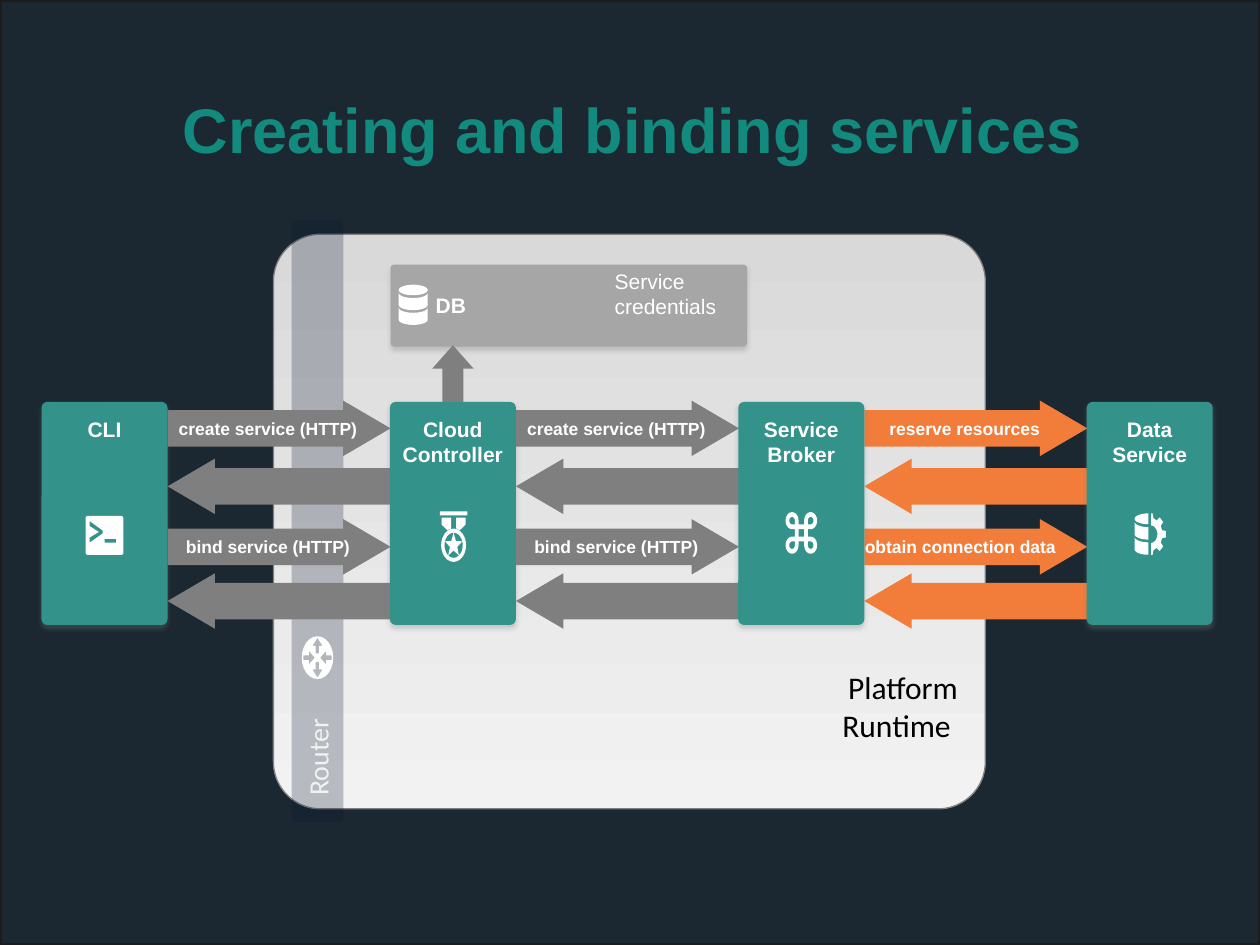
"""Draws the flow of creating and binding services through a platform runtime."""
from dataclasses import dataclass
from math import cos, radians, sin

from lxml import etree
from pptx import Presentation
from pptx import util as u
from pptx.dml.color import RGBColor
from pptx.enum import shapes, text
from pptx.oxml import ns

Point = tuple[float, float]
Contour = list[Point]
Area = tuple[float, float, float, float]

RECTANGLE = shapes.MSO_SHAPE.RECTANGLE
ROUNDED = shapes.MSO_SHAPE.ROUNDED_RECTANGLE
ARROW = shapes.MSO_SHAPE.RIGHT_ARROW
LEFT, CENTER, RIGHT = text.PP_ALIGN.LEFT, text.PP_ALIGN.CENTER, text.PP_ALIGN.RIGHT
TOP, MIDDLE = text.MSO_ANCHOR.TOP, text.MSO_ANCHOR.MIDDLE
WHITE, GRAY, ORANGE, TEAL = "FFFFFF", "7F7F7F", "F27C3A", "33928A"
GRID_LEFT, COLUMN_PITCH, BOX_WIDTH, ARROW_WIDTH = 0.33, 2.765, 1, 1.77
BOX_TOP, BOX_HEIGHT, ARROW_HEIGHT = 3.19, 1.77, 0.44
ROW_TOPS = (3.18, 3.64, 4.12, 4.55)


@dataclass
class Style:
    """Look of a line of text."""
    size: float
    font: str = "Arial"
    color: str = WHITE
    bold: bool = False


@dataclass
class Component:
    """Labelled box in one grid column."""
    column: int
    label: str


@dataclass
class Message:
    """Arrow in the gap after a grid column."""
    column: int
    row: int
    color: str = GRAY
    label: str = ""
    inset: float = 0.07


@dataclass
class Icon:
    """Contours in a unit square, scaled to half sizes around a centre."""
    center: Point
    half: Point
    contours: list[Contour]


def rgb(value: str) -> RGBColor:
    """Turn a hex string into a colour."""
    return RGBColor.from_string(value)


def write(shape, content: str, style: Style, align=LEFT, anchor=MIDDLE, insets=None, wrap=True) -> None:
    """Write each line of content as a paragraph."""
    frame = shape.text_frame
    frame.word_wrap, frame.vertical_anchor = wrap, anchor
    if insets is not None:
        frame.margin_left, frame.margin_top = map(u.Inches, insets)
        frame.margin_right = frame.margin_bottom = 0
    for index, line in enumerate(content.split("\n")):
        paragraph = frame.add_paragraph() if index else frame.paragraphs[0]
        paragraph.alignment = align
        run = paragraph.add_run()
        run.text = line
        run.font.size, run.font.name, run.font.bold = u.Pt(style.size), style.font, style.bold
        run.font.color.rgb = rgb(style.color)


def paint(shape, color: str) -> None:
    """Give a shape a flat fill without line or shadow."""
    shape.shadow.inherit = False
    shape.fill.solid()
    shape.fill.fore_color.rgb = rgb(color)
    shape.line.fill.background()


def add_preset(container, kind, area: Area, color: str, adjustments=(), rotation: float = 0):
    """Add a flat preset shape."""
    shape = container.add_shape(kind, *map(u.Inches, area))
    paint(shape, color)
    shape.rotation = rotation
    for index, value in enumerate(adjustments):
        shape.adjustments[index] = value
    return shape


def color_child(parent, **attributes: str) -> None:
    """Add the soft shadow to an effect list."""
    shadow = etree.SubElement(parent, ns.qn("a:outerShdw"), **attributes)
    tone = etree.SubElement(shadow, ns.qn("a:srgbClr"), val="808080")
    etree.SubElement(tone, ns.qn("a:alpha"), val="35000")


def add_card(container, area: Area, color: str):
    """Add a rounded card with a soft shadow below."""
    card = add_preset(container, ROUNDED, area, color, (0.046,))
    effects = card.element.spPr.find(ns.qn("a:effectLst"))
    color_child(effects, blurRad=str(u.Pt(3.1)), dist=str(u.Pt(1.8)), dir="5400000", rotWithShape="0")
    return card


def add_component(container, component: Component) -> None:
    """Draw one component box."""
    left = GRID_LEFT + component.column * COLUMN_PITCH
    card = add_card(container, (left, BOX_TOP, BOX_WIDTH, BOX_HEIGHT), TEAL)
    write(card, component.label, Style(12, bold=True), CENTER, TOP, (0, 0.1))


def add_message(container, message: Message) -> None:
    """Draw one message arrow; odd rows point back."""
    left = GRID_LEFT + BOX_WIDTH + message.column * COLUMN_PITCH
    area = (left, ROW_TOPS[message.row], ARROW_WIDTH, ARROW_HEIGHT)
    arrow = add_preset(container, ARROW, area, message.color, (0.66, 0.854), message.row % 2 * 180)
    if message.label:
        write(arrow, message.label, Style(10, bold=True), CENTER, insets=(message.inset, 0))


def add_icon(container, icon: Icon) -> None:
    """Draw the contours of an icon as one freeform."""
    placed = [[tuple(int(u.Inches(middle + half * value))
                     for middle, half, value in zip(icon.center, icon.half, point))
               for point in contour] for contour in icon.contours]
    builder = container.build_freeform(*placed[0][0], scale=1.0)
    for index, contour in enumerate(placed):
        if index:
            builder.move_to(*contour[0])
        builder.add_line_segments(contour[1:], close=True)
    paint(builder.convert_to_shape(), WHITE)


def arc(x: float, y: float, rx: float, ry: float, start: float = 0, end: float = 360) -> Contour:
    """Sample an elliptical arc, clockwise in degrees."""
    angles = [radians(start + (end - start) * step / 24) for step in range(25)]
    return [(x + rx * cos(angle), y + ry * sin(angle)) for angle in angles]


def turn(contour: Contour, quarters: int) -> Contour:
    """Rotate a contour by quarter turns."""
    for _ in range(quarters):
        contour = [(-y, x) for x, y in contour]
    return contour


def box(left: float, top: float, right: float, bottom: float) -> Contour:
    """Outline a rectangle."""
    return [(left, top), (right, top), (right, bottom), (left, bottom)]


def cylinder(x: float, rx: float, end: float) -> list[Contour]:
    """Outline a stack of discs, whole (end 0) or left half (end 90)."""
    edge = [] if end == 0 else [(x, -0.48)]
    lid = arc(x, -0.74, rx, 0.26, 180, 360 - end) + arc(x, -0.74, rx, 0.26, end, 180)
    bands = [arc(x, top, rx, 0.26, 180, end) + arc(x, top + 0.6, rx, 0.26, end, 180)
             for top in (-0.6, 0.13)]
    return [lid + edge[:0], *bands]


def router_icon() -> list[Contour]:
    """Disc with two arrows out and two arrows in."""
    outward = [(-0.11, -0.2), (-0.11, -0.55), (-0.32, -0.55), (0, -0.93),
               (0.32, -0.55), (0.11, -0.55), (0.11, -0.2)]
    inward = [(x, -1.1 - y) for x, y in outward]
    return [arc(0, 0, 1, 1), *(turn(inward if side % 2 else outward, side) for side in range(4))]


def medal_icon() -> list[Contour]:
    """Ribbon, ring and star."""
    ribbon = [(-0.87, -0.75), (-0.18, -0.75), (-0.18, -0.33), (-0.45, -0.26), (-0.87, -0.48)]
    star = [(radius * 0.66 * sin(radians(36 * step)), 0.34 - radius * 0.5 * cos(radians(36 * step)))
            for step, radius in enumerate((1, 0.42) * 5)]
    return [box(-1, -1, 1, -0.85), ribbon, [(-x, y) for x, y in ribbon],
            arc(0, 0.34, 0.9, 0.66), arc(0, 0.34, 0.66, 0.5), star]


def command_icon() -> list[Contour]:
    """Looped square."""
    corner = [(-0.41, -0.18), *arc(-0.59, -0.59, 0.41, 0.41, 90, 360), (-0.18, -0.41)]
    loop = [*arc(-0.59, -0.59, 0.18, 0.18, 90, 360), (-0.41, -0.41)]
    outline = [point for side in range(4) for point in turn(corner, side)]
    return [outline, *(turn(loop, side) for side in range(4)), box(-0.18, -0.18, 0.18, 0.18)]


def terminal_icon() -> list[Contour]:
    """Rounded window with a prompt."""
    frame = [point for side in range(4) for point in turn(arc(0.87, 0.87, 0.13, 0.13, 0, 90), side)]
    prompt = [(-0.79, -0.74), (-0.1, -0.26), (-0.1, -0.1), (-0.79, 0.37),
              (-0.79, 0.11), (-0.3, -0.18), (-0.79, -0.48)]
    return [frame, prompt, box(0, 0.17, 0.62, 0.37)]


def data_icon() -> list[Contour]:
    """Half a cylinder beside half a gear."""
    teeth = [(radius * cos(radians(angle + shift)), radius * sin(radians(angle + shift)))
             for angle in (-45, 0, 45)
             for shift, radius in ((-14, 0.77), (-9, 1), (9, 1), (14, 0.77))]
    gear = [(0.04, -1), (0.14, -1), (0.2, -0.77), *teeth, (0.2, 0.77), (0.14, 1), (0.04, 1)]
    return [gear + arc(0.04, 0, 0.4, 0.42, 90, -90), *cylinder(-0.12, 0.88, 90)]


COMPONENTS = [Component(column, label) for column, label in enumerate(
    ("CLI", "Cloud Controller", "Service\nBroker", "Data\nService"))]
REPLIES = [Message(column, row, color) for column, color in enumerate((GRAY, GRAY, ORANGE)) for row in (1, 3)]
REQUESTS = [Message(column, row, GRAY, label) for column in (0, 1)
            for row, label in ((0, "create service (HTTP)"), (2, "bind service (HTTP)"))]
REQUESTS += [Message(2, 0, ORANGE, "reserve resources"), Message(2, 2, ORANGE, "obtain connection data", 0)]
ICONS = [Icon((3.6, 4.26), (0.11, 0.2), medal_icon()), Icon((6.36, 4.23), (0.125, 0.165), command_icon()),
         Icon((0.83, 4.25), (0.15, 0.155), terminal_icon()), Icon((9.13, 4.24), (0.125, 0.165), data_icon())]


def main() -> None:
    """Build and save the slide."""
    presentation = Presentation()
    presentation.slide_width, presentation.slide_height = u.Inches(10), u.Inches(7.5)
    slide = presentation.slides.add_slide(presentation.slide_layouts[5])
    canvas, title = slide.shapes, slide.shapes.title
    title.left, title.top, title.width, title.height = map(u.Inches, (1.22, 0.59, 7.6, 0.85))
    write(title, "Creating and binding services", Style(36, color="138A7E", bold=True), CENTER)
    backdrop = add_preset(canvas, RECTANGLE, (0, 0, 10, 7.5), "1B2831")
    backdrop.line.color.rgb, backdrop.line.width = rgb("1C1C1C"), u.Pt(2)
    title.element.addprevious(backdrop.element)

    runtime = add_preset(canvas, ROUNDED, (2.17, 1.86, 5.65, 4.56), WHITE, (0.082,))
    runtime.fill.gradient()
    runtime.fill.gradient_angle = 270
    for stop, color in zip(runtime.fill.gradient_stops, ("D9D9D9", "F2F2F2")):
        stop.color.rgb = rgb(color)
    runtime.line.color.rgb, runtime.line.width = rgb("808080"), u.Pt(0.75)
    router = add_preset(canvas, ROUNDED, (0.13, 3.93, 4.78, 0.41), "0A1831", (0.087,), 270)
    tone = router.element.spPr.find(ns.qn("a:solidFill"))[0]
    etree.SubElement(tone, ns.qn("a:alpha"), val="25000")
    write(router, "Router", Style(16, "Calibri", "F2F2F2"), insets=(0.2, 0), wrap=False)
    caption = canvas.add_textbox(*map(u.Inches, (5.84, 5.25, 1.86, 0.71)))
    write(caption, "Platform\nRuntime ", Style(18, "Calibri", "000000"), RIGHT, TOP)
    add_icon(canvas, Icon((2.52, 5.22), (0.125, 0.17), router_icon()))

    database = canvas.add_group_shape().shapes
    card = add_card(database, (3.1, 2.1, 2.83, 0.65), "A6A6A6")
    write(card, "DB", Style(12, bold=True), insets=(0.35, 0))
    add_icon(database, Icon((3.28, 2.42), (0.115, 0.16), cylinder(0, 1, 0)))
    credentials = canvas.add_textbox(*map(u.Inches, (4.78, 2.08, 1.08, 0.5)))
    write(credentials, "Service\ncredentials", Style(12), anchor=TOP, wrap=False)

    for message in REPLIES + REQUESTS:
        add_message(canvas, message)
    for component in COMPONENTS:
        add_component(canvas, component)
    for icon in ICONS:
        add_icon(canvas, icon)
    add_preset(canvas, ARROW, (3.37, 2.8, 0.45, 0.33), GRAY, (0.51, 0.564), 270)
    presentation.save("out.pptx")


if __name__ == "__main__":
    main()
